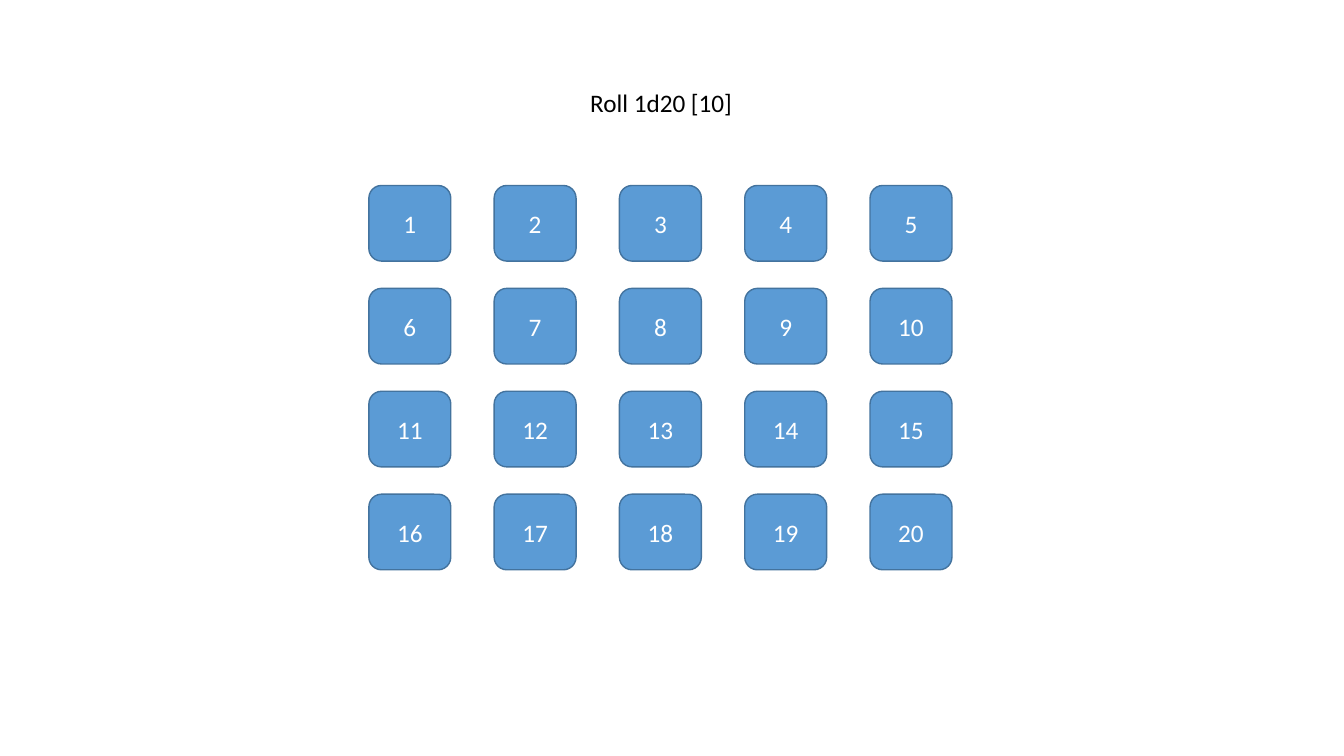
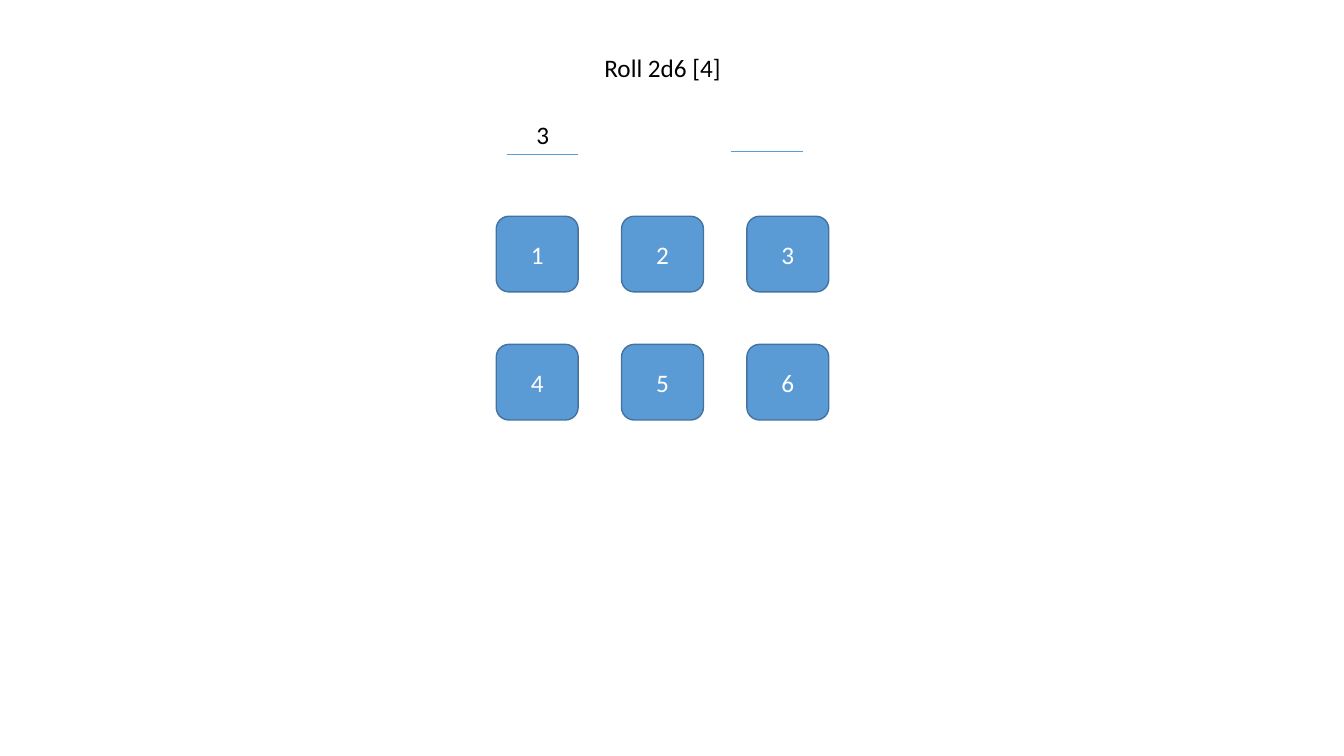
from dataclasses import dataclass

from pptx import Presentation
from pptx.dml.color import RGBColor
from pptx.enum.shapes import MSO_CONNECTOR as Connector, MSO_SHAPE as Shape
from pptx.enum.text import MSO_ANCHOR as Anchor, MSO_AUTO_SIZE as AutoSize, PP_ALIGN as Align
from pptx.oxml.ns import qn
from pptx.util import Pt


@dataclass(frozen=True)
class Theme:
    blue: RGBColor = RGBColor(0x5B, 0x9B, 0xD5)
    outline: RGBColor = RGBColor(0x43, 0x73, 0x9E)
    ink: RGBColor = RGBColor(0x00, 0x00, 0x00)
    paper: RGBColor = RGBColor(0xFF, 0xFF, 0xFF)
    font: str = "Calibri"
    text_size: float = 18
    outline_width: float = 1
    blank_width: float = 0.5


THEME = Theme()
FONT_FORMAT = {"name": THEME.font, "size": Pt(THEME.text_size)}
BUTTON_FORMAT = {"word_wrap": True, "vertical_anchor": Anchor.MIDDLE}
LABEL_FORMAT = {"auto_size": AutoSize.SHAPE_TO_FIT_TEXT, "vertical_anchor": Anchor.TOP}

# Shared measures, in points
BUTTON_WIDTH, BUTTON_HEIGHT = 58.5, 54
COLUMN_STEP = 89.5
LABEL_HEIGHT = 29
BLANK_LENGTH = 51


def apply_format(target, values):
    for attribute, value in values.items():
        setattr(target, attribute, value)


def write_text(frame, text, color, frame_format):
    apply_format(frame, frame_format)
    paragraph = frame.paragraphs[0]
    paragraph.alignment = Align.CENTER
    run = paragraph.add_run()
    run.text = text
    apply_format(run.font, FONT_FORMAT)
    run.font.color.rgb = color


def add_label(slide, text, left, top, width, wrap=False):
    label = slide.shapes.add_textbox(Pt(left), Pt(top), Pt(width), Pt(LABEL_HEIGHT))
    write_text(label.text_frame, text, THEME.ink, {**LABEL_FORMAT, "word_wrap": wrap})


def add_button(slide, text, left, top):
    button = slide.shapes.add_shape(
        Shape.ROUNDED_RECTANGLE, Pt(left), Pt(top), Pt(BUTTON_WIDTH), Pt(BUTTON_HEIGHT))
    button.shadow.inherit = False
    button.fill.solid()
    button.fill.fore_color.rgb = THEME.blue
    button.line.color.rgb = THEME.outline
    button.line.width = Pt(THEME.outline_width)
    write_text(button.text_frame, text, THEME.paper, BUTTON_FORMAT)


def add_number_buttons(slide, sides, columns, left, top, row_step):
    for index in range(sides):
        row, column = divmod(index, columns)
        add_button(slide, str(index + 1), left + column * COLUMN_STEP, top + row * row_step)


def add_blank(slide, left, y):
    blank = slide.shapes.add_connector(
        Connector.STRAIGHT, Pt(left), Pt(y), Pt(left + BLANK_LENGTH), Pt(y))
    blank.line.color.rgb = THEME.blue
    blank.line.width = Pt(THEME.blank_width)
    properties = blank._element.spPr
    properties.append(properties.makeelement(qn("a:effectLst"), {}))


def build_d20_slide(slide):
    add_label(slide, "Roll 1d20 [10]", left=413.5, top=58.5, width=117.5)
    add_number_buttons(slide, sides=20, columns=5, left=263.5, top=132.5, row_step=73.5)


def build_2d6_slide(slide):
    add_label(slide, "Roll 2d6 [4]", left=424, top=34, width=98.5)
    add_number_buttons(slide, sides=6, columns=3, left=354.5, top=154.5, row_step=91.5)
    # Result of each die
    add_blank(slide, left=362, y=110)
    add_blank(slide, left=522.5, y=108)
    add_label(slide, "3", left=366.5, top=81.5, width=42.5, wrap=True)


def main():
    deck = Presentation()
    apply_format(deck, {"slide_width": Pt(960), "slide_height": Pt(540)})
    blank_layout = deck.slide_layouts[6]
    for build in (build_d20_slide, build_2d6_slide):
        build(deck.slides.add_slide(blank_layout))
    deck.save("out.pptx")


if __name__ == "__main__":
    main()
